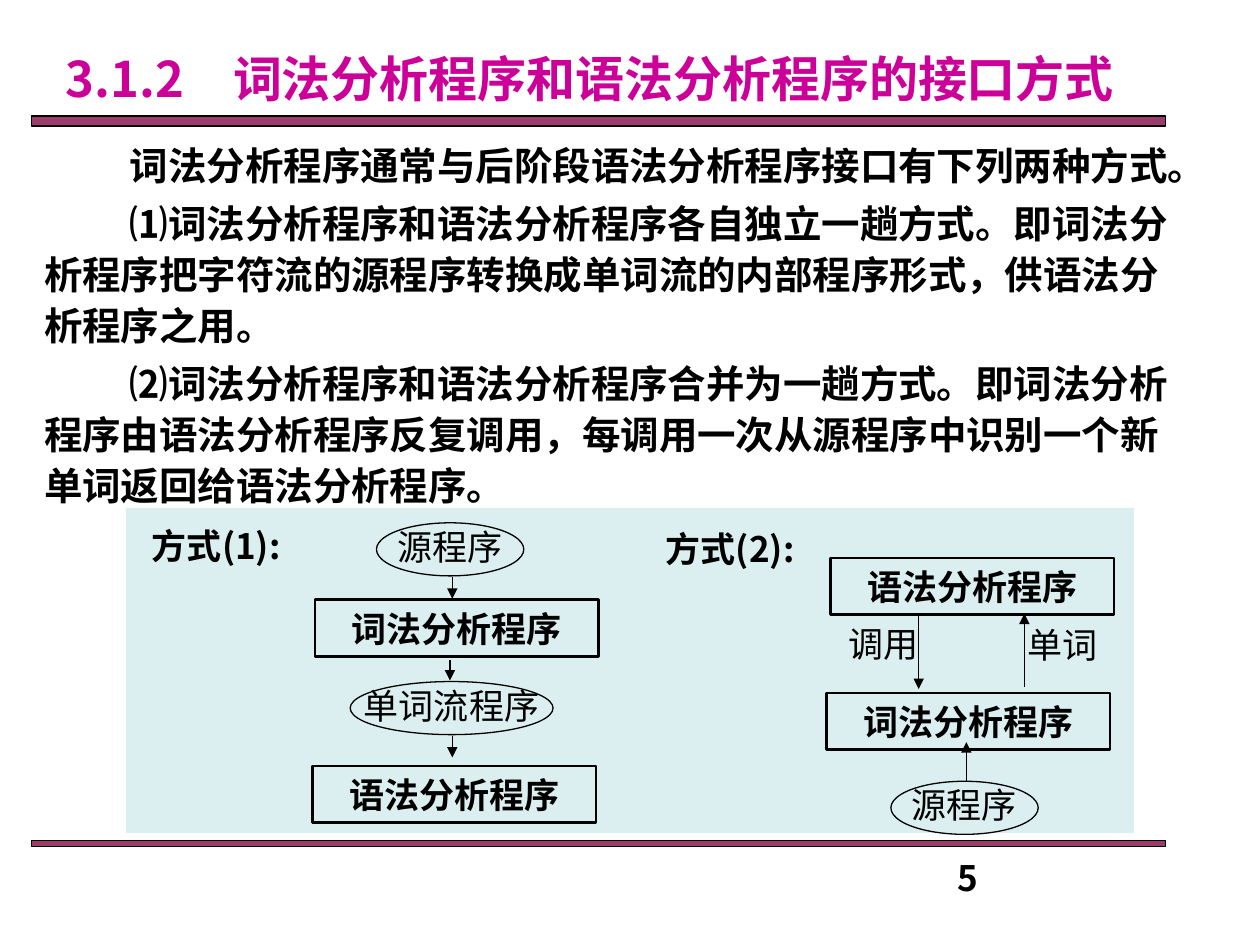
from lxml.etree import SubElement
from pptx import Presentation
from pptx.dml.color import RGBColor
from pptx.enum.shapes import MSO_CONNECTOR as Connector, MSO_SHAPE as Shape
from pptx.enum.text import MSO_ANCHOR as Anchor, PP_ALIGN as Align
from pptx.oxml.ns import qn
from pptx.util import Cm, Pt

FONT = "Noto Sans CJK SC"
BLACK = RGBColor(0x00, 0x00, 0x00)
MAGENTA = RGBColor(0xCC, 0x00, 0x99)
PLUM = RGBColor(0x99, 0x33, 0x66)
PALE_BLUE = RGBColor(0xBB, 0xE0, 0xE3)

TITLE = "3.1.2　词法分析程序和语法分析程序的接口方式"
BODY = [
    "词法分析程序通常与后阶段语法分析程序接口有下列两种方式。",
    "⑴词法分析程序和语法分析程序各自独立一趟方式。即词法分析程序把字符流的源程序转换成单词流的内部程序形式，供语法分析程序之用。",
    "⑵词法分析程序和语法分析程序合并为一趟方式。即词法分析程序由语法分析程序反复调用，每调用一次从源程序中识别一个新单词返回给语法分析程序。",
]
PAGE_NUMBER = "5"

BARS = [(2.34, 0.2), (16.94, 0.13)]
BOX_SIZE = (5.72, 1.14)
BOXES = [
    ("词法分析程序", 6.35, 12.09),
    ("语法分析程序", 6.3, 15.44),
    ("词法分析程序", 16.66, 13.97),
    ("语法分析程序", 16.74, 11.25),
]
ELLIPSE_HEIGHT = 1.07
ELLIPSES = [
    ("源程序", 7.59, 10.54, 2.97),
    ("单词流程序", 7.06, 13.74, 4.09),
    ("源程序", 17.96, 15.75, 2.97),
]
LABEL_HEIGHT = 1.09
LABELS = [
    ("方式(1):", 2.67, 10.46, 3.38, True),
    ("方式(2):", 13.03, 10.52, 3.38, True),
    ("调用", 16.76, 12.42, 2.11, False),
    ("单词", 20.27, 12.45, 2.29, False),
]
ARROWS = [
    (9.12, 11.63, 12.07),
    (9.07, 13.31, 13.72),
    (9.12, 14.83, 15.27),
    (19.48, 15.75, 14.96),
    (18.52, 12.42, 13.89),
    (20.65, 13.84, 12.37),
]


def write(shape, texts, size=20, bold=False, color=BLACK, align=Align.CENTER,
          anchor=Anchor.MIDDLE, wrap=False):
    frame = shape.text_frame
    frame.word_wrap = wrap
    frame.vertical_anchor = anchor
    frame.text = "\n".join(texts)
    for paragraph in frame.paragraphs:
        paragraph.alignment = align
        font = paragraph.font
        font.size = Pt(size)
        font.bold = bold
        font.color.rgb = color
        font.name = FONT
        defaults = paragraph._p.pPr.find(qn("a:defRPr"))
        SubElement(defaults, qn("a:ea")).set("typeface", FONT)
    return frame


def add_shape(slide, kind, left, top, width, height, fill=None, opacity=100, line=None):
    shape = slide.shapes.add_shape(kind, Cm(left), Cm(top), Cm(width), Cm(height))
    shape.shadow.inherit = False
    if fill is None:
        shape.fill.background()
    else:
        shape.fill.solid()
        shape.fill.fore_color.rgb = fill
        color = shape.fill._xPr.find(qn("a:solidFill"))[0]
        SubElement(color, qn("a:alpha")).set("val", str(opacity * 1000))
    if line is None:
        shape.line.fill.background()
    else:
        shape.line.color.rgb = BLACK
        shape.line.width = Pt(line)
    return shape


def add_text(slide, texts, left, top, width, height, **style):
    box = slide.shapes.add_textbox(Cm(left), Cm(top), Cm(width), Cm(height))
    return write(box, texts, **style)


def add_arrow(slide, x, start, end):
    arrow = slide.shapes.add_connector(Connector.STRAIGHT, Cm(x), Cm(start), Cm(x), Cm(end))
    arrow.line.color.rgb = BLACK
    arrow.line.width = Pt(0.75)
    SubElement(arrow.line._get_or_add_ln(), qn("a:tailEnd")).set("type", "triangle")
    SubElement(arrow._element.spPr, qn("a:effectLst"))


def add_title(slide):
    title = slide.shapes.title
    title.left, title.top, title.width, title.height = Cm(1.07), Cm(0.84), Cm(22.02), Cm(1.47)
    write(title, [TITLE], size=28, bold=True, color=MAGENTA, align=Align.LEFT, wrap=True)


def add_body(slide):
    frame = add_text(slide, BODY, 0.64, 2.65, 23.5, 7.87, size=22, bold=True,
                     align=Align.LEFT, anchor=Anchor.TOP, wrap=True)
    for paragraph in frame.paragraphs:
        paragraph.line_spacing = Pt(29.1)
        paragraph.space_before = Pt(4)
        paragraph._p.pPr.set("indent", str(Cm(1.73)))


def add_diagram(slide):
    for text, left, top in BOXES:
        box = add_shape(slide, Shape.RECTANGLE, left, top, *BOX_SIZE, line=1.5)
        write(box, [text], bold=True)
    for text, left, top, width in ELLIPSES:
        ellipse = add_shape(slide, Shape.OVAL, left, top, width, ELLIPSE_HEIGHT, line=0.75)
        frame = write(ellipse, [text])
        frame.margin_left = frame.margin_right = frame.margin_top = 0
        frame.margin_bottom = Cm(0.12)
    for x, start, end in ARROWS:
        add_arrow(slide, x, start, end)
    for text, left, top, width, bold in LABELS:
        add_text(slide, [text], left, top, width, LABEL_HEIGHT, bold=bold, wrap=True)


def main():
    presentation = Presentation()
    presentation.slide_width, presentation.slide_height = Cm(25.4), Cm(19.05)
    slide = presentation.slides.add_slide(presentation.slide_layouts[5])
    for top, height in BARS:
        add_shape(slide, Shape.RECTANGLE, 0.64, top, 22.86, height, PLUM, 96, 0.75)
    add_shape(slide, Shape.RECTANGLE, 2.54, 10.24, 20.32, 6.55, PALE_BLUE, 50)
    add_title(slide)
    add_body(slide)
    add_diagram(slide)
    add_text(slide, [PAGE_NUMBER], 19.05, 17.15, 5.92, 0.69, bold=True,
             align=Align.LEFT, anchor=Anchor.TOP, wrap=True)
    presentation.save("out.pptx")


if __name__ == "__main__":
    main()
